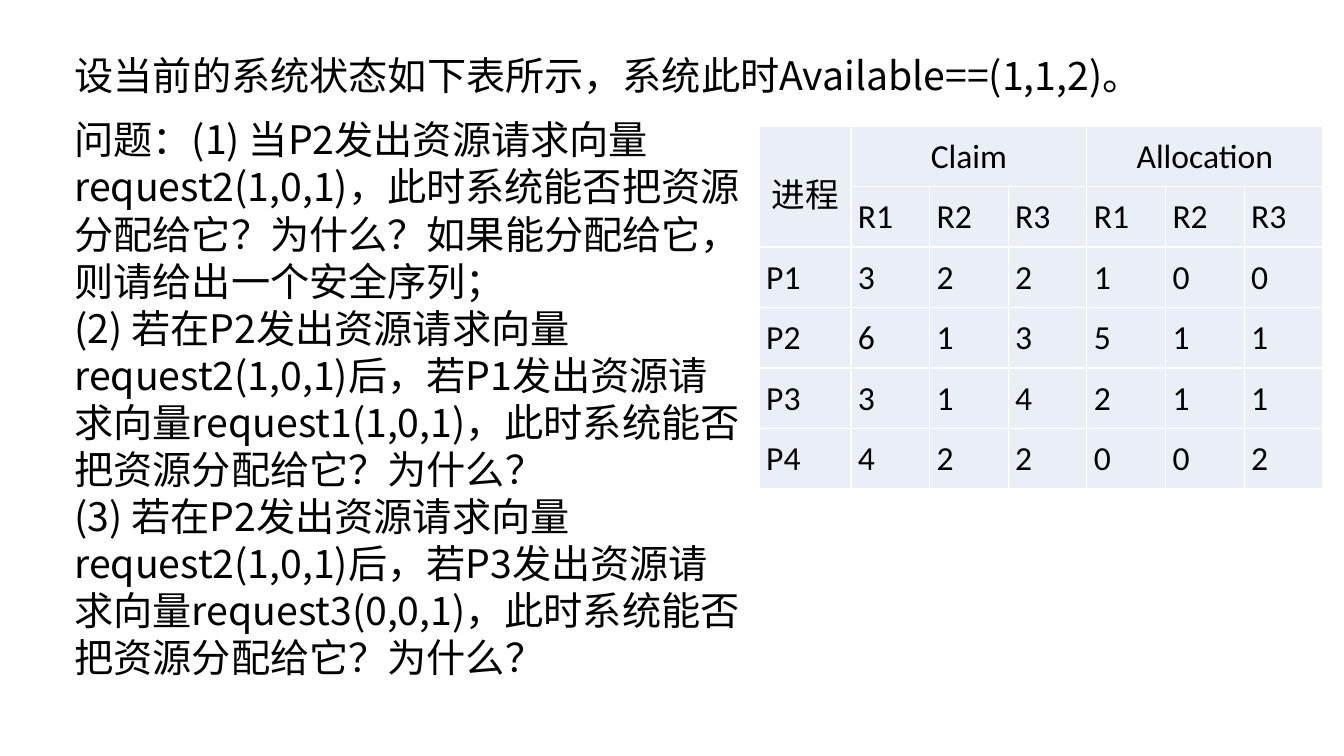
from pptx import Presentation
from pptx.dml.color import RGBColor
from pptx.enum import text as t
from pptx.oxml import ns
from pptx.util import Inches, Pt
from lxml import etree

BLACK = RGBColor(0, 0, 0)
PALE = RGBColor(0xEA, 0xEF, 0xF7)
NOTO = "Noto Sans CJK SC"


def write(frame, words, size=28, font=NOTO, align=t.PP_ALIGN.LEFT, space=Pt(33.6)):
    frame.text = words
    for para in frame.paragraphs:
        para.alignment = align
        para.line_spacing = space
        para.space_before = Pt(0)
        for run in para.runs:
            run.font.size = Pt(size)
            run.font.name = font
            run.font.color.rgb = BLACK
            east = etree.SubElement(run.font._element, ns.qn("a:ea"))
            east.set("typeface", NOTO)


deck = Presentation()
deck.slide_width = Inches(13.33)
deck.slide_height = Inches(7.5)
slide = deck.slides.add_slide(deck.slide_layouts[5])

title = slide.shapes.title
title.left, title.top = Inches(0.64), Inches(0.46)
title.width, title.height = Inches(12.08), Inches(0.57)
write(title.text_frame, "设当前的系统状态如下表所示，系统此时Available==(1,1,2)。")
title.text_frame.vertical_anchor = t.MSO_ANCHOR.MIDDLE

tasks = [
    "问题：(1) 当P2发出资源请求向量request2(1,0,1)，此时系统能否把资源分配给它？为什么？如果能分配给它，则请给出一个安全序列；",
    "(2) 若在P2发出资源请求向量request2(1,0,1)后，若P1发出资源请求向量request1(1,0,1)，此时系统能否把资源分配给它？为什么？",
    "(3) 若在P2发出资源请求向量request2(1,0,1)后，若P3发出资源请求向量request3(0,0,1)，此时系统能否把资源分配给它？为什么？",
]
body = slide.shapes.add_textbox(Inches(0.64), Inches(1.1), Inches(6.81), Inches(5.76))
body.text_frame.word_wrap = True
write(body.text_frame, "\n".join(tasks))

rows = [
    ["进程", "Claim", "", "", "Allocation", "", ""],
    ["", "R1", "R2", "R3", "R1", "R2", "R3"],
    ["P1", "3", "2", "2", "1", "0", "0"],
    ["P2", "6", "1", "3", "5", "1", "1"],
    ["P3", "3", "1", "4", "2", "1", "1"],
    ["P4", "4", "2", "2", "0", "0", "2"],
]
grid = slide.shapes.add_table(
    6, 7, Inches(7.53), Inches(1.25), Inches(5.59), Inches(3.6)).table
grid.first_row = grid.horz_banding = False
for c, col in enumerate(grid.columns):
    col.width = Inches(0.78 if c else 0.91)
for r, row in enumerate(rows):
    grid.rows[r].height = Inches(0.6)
    for c, words in enumerate(row):
        cell = grid.cell(r, c)
        cell.fill.solid()
        cell.fill.fore_color.rgb = PALE
        cell.margin_left = cell.margin_right = Inches(0.07)
        cell.margin_top = cell.margin_bottom = 0
        align = t.PP_ALIGN.JUSTIFY if r else t.PP_ALIGN.CENTER
        write(cell.text_frame, words, size=24, font="Calibri", align=align, space=1.25)

grid.cell(0, 0).merge(grid.cell(1, 0))
grid.cell(0, 0).vertical_anchor = t.MSO_ANCHOR.MIDDLE
for c in (1, 4):
    grid.cell(0, c).merge(grid.cell(0, c + 2))

deck.save("out.pptx")
